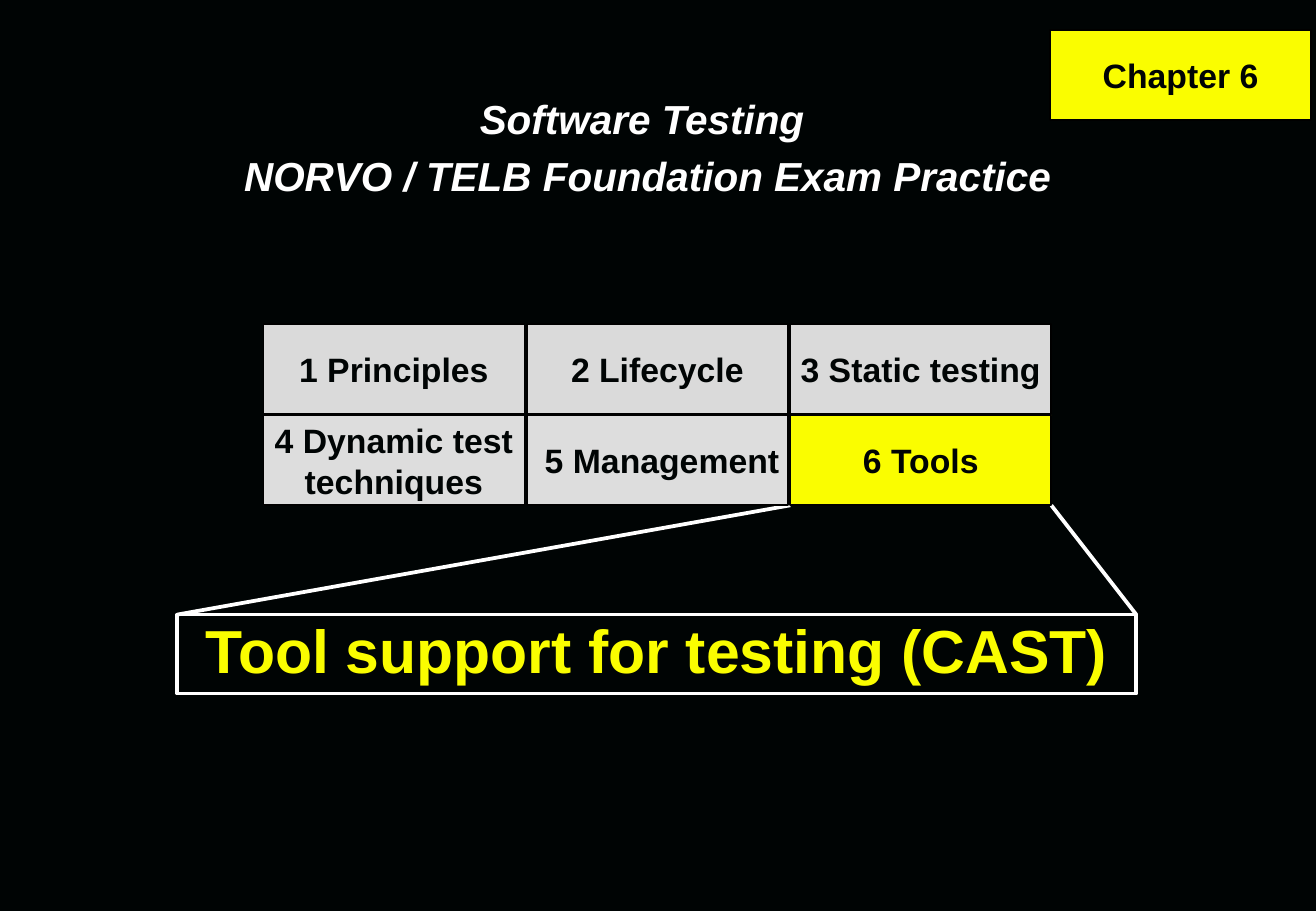
"""Build the chapter 6 opening slide: course title, chapter grid and topic callout."""
from lxml import etree
from pptx import Presentation, util as u
from pptx.dml.color import RGBColor
from pptx.enum import shapes, text
from pptx.oxml.ns import qn

WIDE, HIGH = 10.84, 7.5
FONT = "Arial"
HUES = {"back": "000404", "edge": "000000", "top": "DADADA", "low": "DDDDDD",
        "mark": "FAFD00", "white": "FFFFFF"}
COURSE = ["Software Testing ", "NORVO / TELB Foundation Exam Practice"]
CHAPTERS = [
    [("1 Principles", "top"), ("2 Lifecycle", "top"), ("3 Static testing", "top")],
    [("4 Dynamic test\ntechniques", "low"), (" 5 Management", "low"), ("6 Tools", "mark")],
]
BADGE = "Chapter 6"
TOPIC = "Tool support for testing (CAST)"

LEFT, TOP = 2.17, 2.67
STEP_X, STEP_Y = 2.17, 0.75
CELL_W, CELL_H = 2.15, 0.74
TOPIC_BOX = (1.46, 5.06, 7.9, 0.65)
COURSE_BOX = (1, 0.67, 8.67, 1)
BADGE_BOX = (8.65, 0.25, CELL_W, CELL_H)


def hue(name):
    return RGBColor.from_string(HUES[name])


def style(par, words, size, color, space=None, slant=False):
    par.text = words
    par.alignment = text.PP_ALIGN.CENTER
    par.line_spacing = space
    font = par.font
    font.name, font.size = FONT, u.Pt(size)
    font.bold, font.italic = True, slant
    font.color.rgb = hue(color)


def add_box(slide, spot, words, size, color, fill, edge, weight, space=None, wrap=False):
    box = slide.shapes.add_shape(shapes.MSO_SHAPE.RECTANGLE, *map(u.Inches, spot))
    box.shadow.inherit = False
    if fill:
        box.fill.solid()
        box.fill.fore_color.rgb = hue(fill)
    else:
        box.fill.background()
    box.line.color.rgb = hue(edge)
    box.line.width = u.Pt(weight)
    frame = box.text_frame
    frame.word_wrap = wrap
    frame.vertical_anchor = text.MSO_ANCHOR.MIDDLE
    style(frame.paragraphs[0], words, size, color, space)


def add_cell(slide, spot, words, fill):
    add_box(slide, spot, words, 20, "back", fill, "edge", 1)


def add_ray(slide, start, end):
    ends = map(u.Inches, (*start, *end))
    ray = slide.shapes.add_connector(shapes.MSO_CONNECTOR.STRAIGHT, *ends)
    ray.line.color.rgb = hue("white")
    ray.line.width = u.Pt(2.25)
    etree.SubElement(ray._element.spPr, qn("a:effectLst"))


def add_course(slide):
    box = slide.shapes.add_textbox(*map(u.Inches, COURSE_BOX))
    frame = box.text_frame
    frame.word_wrap = True
    frame.margin_left = frame.margin_right = u.Inches(0.07)
    frame.margin_top = frame.margin_bottom = u.Inches(0.03)
    for row, words in enumerate(COURSE):
        par = frame.add_paragraph() if row else frame.paragraphs[0]
        style(par, words, 24, "white", 1.18, True)


def main():
    deck = Presentation()
    deck.slide_width, deck.slide_height = u.Inches(WIDE), u.Inches(HIGH)
    slide = deck.slides.add_slide(deck.slide_layouts[6])
    slide.background.fill.solid()
    slide.background.fill.fore_color.rgb = hue("back")

    add_box(slide, TOPIC_BOX, TOPIC, 36, "mark", None, "white", 2.25, 0.88, True)
    x, y, w, _ = TOPIC_BOX
    tool_x = LEFT + 2 * STEP_X
    foot = TOP + STEP_Y + CELL_H
    add_ray(slide, (tool_x, foot), (x, y))
    add_ray(slide, (x + w, y), (tool_x + CELL_W, foot))

    for row, line in enumerate(CHAPTERS):
        for col, (words, fill) in enumerate(line):
            spot = (LEFT + col * STEP_X, TOP + row * STEP_Y, CELL_W, CELL_H)
            add_cell(slide, spot, words, fill)
    add_course(slide)
    add_cell(slide, BADGE_BOX, BADGE, "mark")
    deck.save("out.pptx")


if __name__ == "__main__":
    main()
